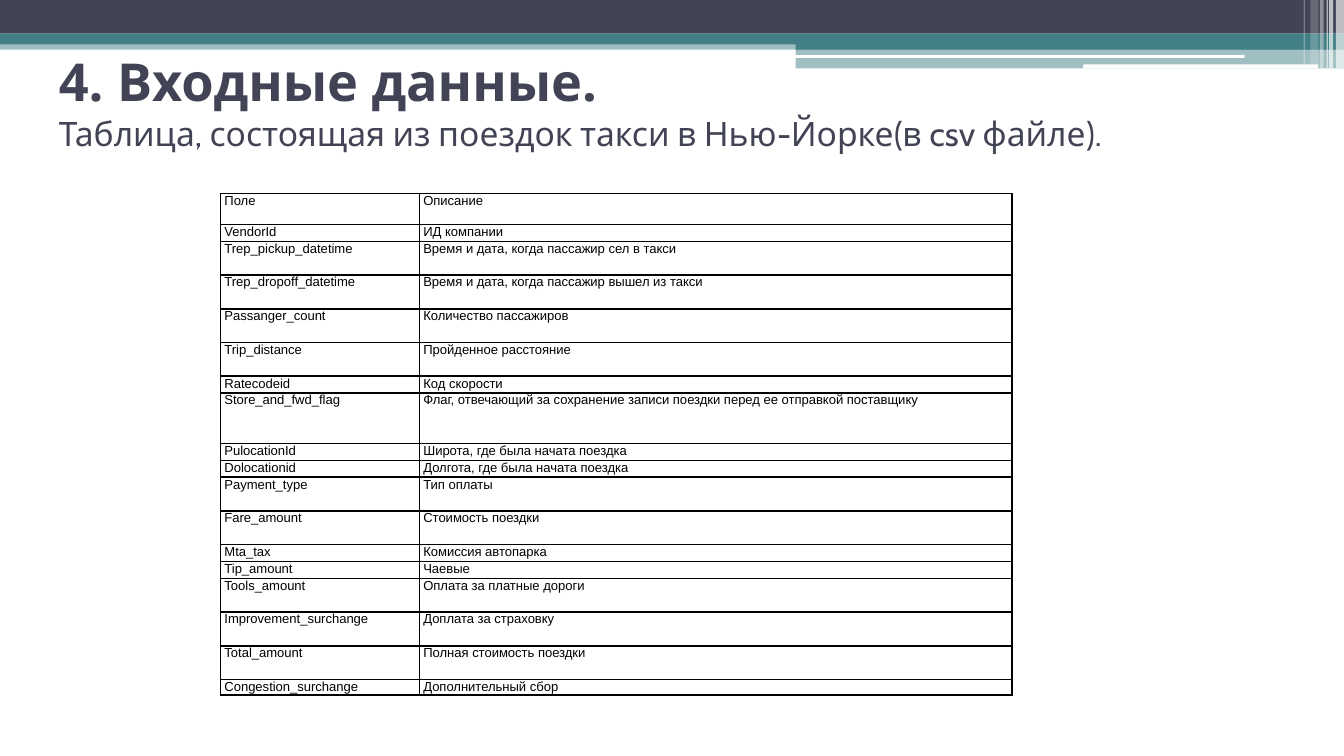
from dataclasses import dataclass

from lxml import etree
from pptx import Presentation
from pptx.dml.color import RGBColor
from pptx.enum.shapes import MSO_SHAPE
from pptx.enum.text import MSO_ANCHOR
from pptx.oxml.ns import qn
from pptx.util import Inches, Pt

RECTANGLE = MSO_SHAPE.RECTANGLE
ROUNDED = MSO_SHAPE.ROUNDED_RECTANGLE
TOP = MSO_ANCHOR.TOP
GRID_COLUMNS = 1000
GRID_ROWS = GRID_COLUMNS * 9 / 16
GRID_UNIT = Inches(0.01)
TEXT_LINE = 12.55
BLANK_LAYOUT = 6

COLORS = {"navy": "424456", "teal": "438086", "white": "FFFFFF", "black": "000000"}


@dataclass(frozen=True)
class Band:
    column: float
    row: float
    columns: float
    rows: float
    color: str
    opacity: int = 100
    preset: int = RECTANGLE


@dataclass(frozen=True)
class Field:
    name: str
    description: str
    lines: float


@dataclass(frozen=True)
class TextStyle:
    size: float
    font: str
    color: str
    bold: bool = False


BANDS = [
    Band(0, 30, GRID_COLUMNS, 7, "teal", 50),
    Band(0, 0, GRID_COLUMNS, 25, "navy"),
    Band(0, 25, GRID_COLUMNS, 8, "teal"),
    Band(592, 30, 408, 7, "teal"),
    Band(592, 36, 408, 15, "teal", 50),
    Band(591, 41, 335, 2, "white", preset=ROUNDED),
    Band(806, 48, 175, 3, "white", preset=ROUNDED),
    Band(994, 0, 6, 51, "white", 65),
    Band(989, 0, 3, 51, "white", 65),
    Band(987, 0, 1, 51, "white", 60),
    Band(982, 0, 3, 51, "white", 40),
    Band(975, 0, 6, 48, "white", 20),
    Band(970, 0, 1, 48, "white", 30),
]

FIELDS = [
    Field("Поле", "Описание", 1.84),
    Field("VendorId", "ИД компании", 1),
    Field("Trep_pickup_datetime", "Время и дата, когда пассажир сел в такси", 2),
    Field("Trep_dropoff_datetime", "Время и дата, когда пассажир вышел из такси", 2),
    Field("Passanger_count", "Количество пассажиров", 2),
    Field("Trip_distance", "Пройденное расстояние", 2),
    Field("Ratecodeid", "Код скорости", 1),
    Field("Store_and_fwd_flag",
          "Флаг, отвечающий за сохранение записи поездки перед ее отправкой поставщику", 3),
    Field("PulocationId", "Широта, где была начата поездка", 1),
    Field("Dolocationid", "Долгота, где была начата поездка", 1),
    Field("Payment_type", "Тип оплаты", 2),
    Field("Fare_amount", "Стоимость поездки", 2),
    Field("Mta_tax", "Комиссия автопарка", 1),
    Field("Tip_amount", "Чаевые", 1),
    Field("Tools_amount", "Оплата за платные дороги", 2),
    Field("Improvement_surchange", "Доплата за страховку", 2),
    Field("Total_amount", "Полная стоимость поездки", 2),
    Field("Congestion_surchange", "Дополнительный сбор", 0.8),
]

HEADING = TextStyle(28, "Open Sans", "navy", True)
SUBTITLE = TextStyle(18, "Cabin", "navy")
TABLE_TEXT = TextStyle(7, "Arial", "black")


def grid(units: float) -> int:
    return round(units * GRID_UNIT)


def set_attributes(target, values: dict) -> None:
    for name, value in values.items():
        setattr(target, name, value)


def draw_band(slide, band: Band) -> None:
    shape = slide.shapes.add_shape(
        band.preset, *map(grid, (band.column, band.row, band.columns, band.rows)))
    shape.shadow.inherit = False
    shape.line.fill.background()
    shape.fill.solid()
    shape.fill.fore_color.rgb = RGBColor.from_string(COLORS[band.color])
    if band.opacity < 100:
        color = shape.fill._xPr.find(qn("a:solidFill"))[0]
        etree.SubElement(color, qn("a:alpha"), val=str(band.opacity * 1000))


def add_text(paragraph, text: str, style: TextStyle) -> None:
    run = paragraph.add_run()
    run.text = text
    set_attributes(run.font, {"size": Pt(style.size), "name": style.font, "bold": style.bold})
    run.font.color.rgb = RGBColor.from_string(COLORS[style.color])


def draw_title(slide) -> None:
    shape = slide.shapes.add_textbox(*map(grid, (34, 27, 932, 77)))
    set_attributes(shape.text_frame, {
        "word_wrap": True, "vertical_anchor": TOP,
        "margin_left": grid(10), "margin_right": grid(10),
        "margin_top": grid(10), "margin_bottom": grid(10),
    })
    paragraph = shape.text_frame.paragraphs[0]
    add_text(paragraph, "4. Входные данные.", HEADING)
    paragraph.add_line_break()
    add_text(paragraph, "Таблица, состоящая из поездок такси в Нью-Йорке(в csv файле).", SUBTITLE)


def add_borders(cell) -> None:
    properties = cell._tc.get_or_add_tcPr()
    for side in ("lnL", "lnR", "lnT", "lnB"):
        border = etree.SubElement(properties, qn(f"a:{side}"), w=str(Pt(1)))
        fill = etree.SubElement(border, qn("a:solidFill"))
        etree.SubElement(fill, qn("a:srgbClr"), val=COLORS["black"])


def draw_cell(cell, text: str) -> None:
    set_attributes(cell, {
        "margin_left": grid(3), "margin_right": grid(3),
        "margin_top": 0, "margin_bottom": 0, "vertical_anchor": TOP,
    })
    add_borders(cell)
    cell.fill.background()
    add_text(cell.text_frame.paragraphs[0], text, TABLE_TEXT)


def draw_fields(slide, fields: list[Field]) -> None:
    table = slide.shapes.add_table(
        len(fields), 2, *map(grid, (164, 144, 589, 373))).table
    set_attributes(table, {"first_row": False, "horz_banding": False})
    for column, width in zip(table.columns, (148, 441)):
        column.width = grid(width)
    for row, field in zip(table.rows, fields):
        row.height = grid(field.lines * TEXT_LINE)
        for cell, text in zip(row.cells, (field.name, field.description)):
            draw_cell(cell, text)


def main() -> None:
    presentation = Presentation()
    set_attributes(presentation, {
        "slide_width": grid(GRID_COLUMNS), "slide_height": grid(GRID_ROWS)})
    slide = presentation.slides.add_slide(presentation.slide_layouts[BLANK_LAYOUT])
    for band in BANDS:
        draw_band(slide, band)
    draw_title(slide)
    draw_fields(slide, FIELDS)
    presentation.save("out.pptx")


if __name__ == "__main__":
    main()
